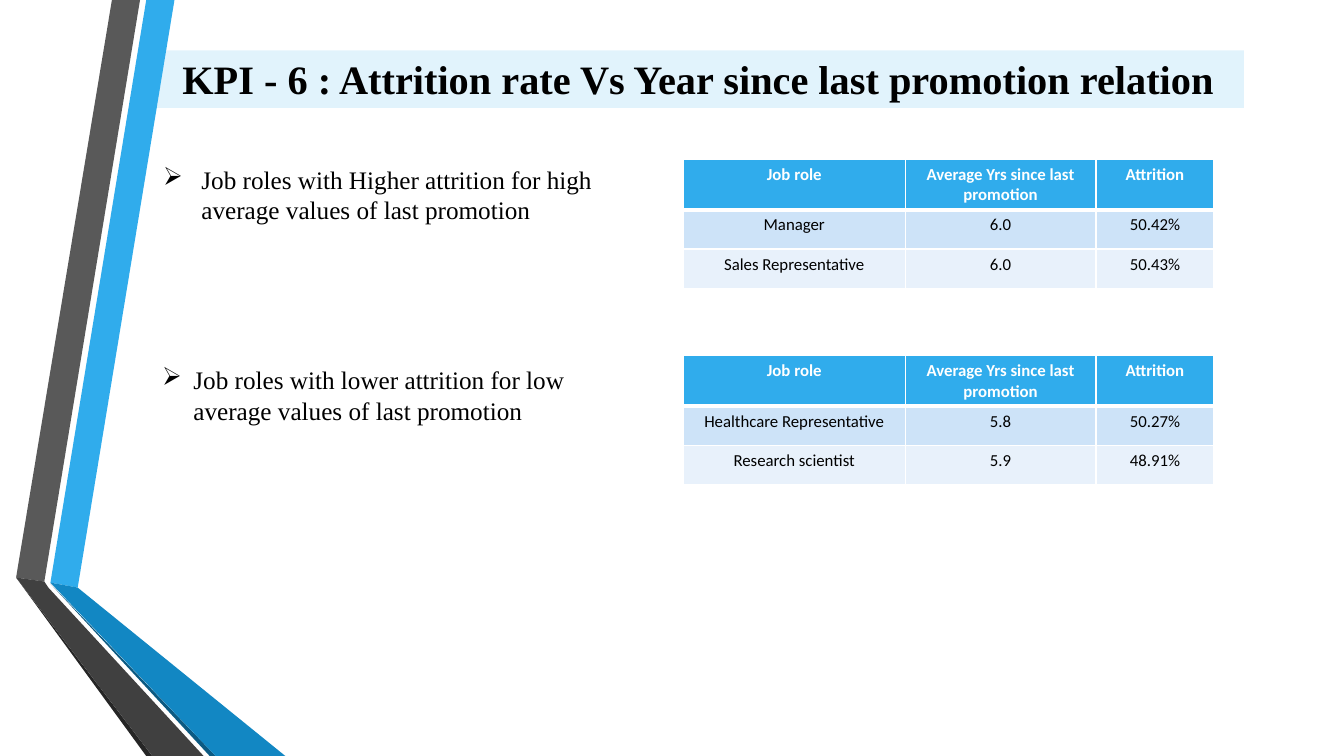
from lxml.etree import SubElement
from pptx import Presentation
from pptx.dml.color import RGBColor as Rgb
from pptx.enum.shapes import MSO_SHAPE as Shape
from pptx.enum.text import MSO_ANCHOR as Anchor, PP_ALIGN as Align
from pptx.oxml import parse_xml
from pptx.oxml.ns import nsdecls, qn
from pptx.util import Inches, Pt

THEME = {
    "accent": "30ACEC", "bands": ("CDE3F8", "E8F1FB"), "border": "FFFFFF",
    "title": {"name": "Times New Roman", "size": Pt(28.8), "bold": True, "color": "000000"},
    "body": {"name": "Times New Roman", "size": Pt(18), "bold": False, "color": "000000"},
    "header": {"name": "Calibri", "size": Pt(12), "bold": True, "color": "FFFFFF"},
    "cell": {"name": "Calibri", "size": Pt(12), "bold": False, "color": "000000"},
}

deck = Presentation()
deck.slide_width, deck.slide_height = Inches(13.33), Inches(7.5)
page = deck.slides.add_slide(deck.slide_layouts[6])
# The grid has 100 columns and 100 rows
column, row = deck.slide_width / 100, deck.slide_height / 100


def place(left, top, width, height):
    """Turn grid columns and rows into slide lengths."""
    return [round(n * unit) for n, unit in
            zip((left, top, width, height), (column, row, column, row))]


def write(frame, text, style, align):
    frame.word_wrap = True
    para = frame.paragraphs[0]
    para.alignment = align
    span = para.add_run()
    span.text = text
    for name, value in style.items():
        if name == "color":
            span.font.color.rgb = Rgb.from_string(value)
        else:
            setattr(span.font, name, value)
    return para


# Folded ribbons on the left, from back to front
RIBBONS = [
    ("30ACEC", [(3.75, 77.07), (5.78, 77.73), (12.98, 0), (10.88, 0)]),
    ("595959", [(10.42, 0), (8.33, 0), (1.2, 76.4), (3.3, 76.93)]),
    ("262626", [(1.2, 76.4), (10.88, 100), (11.33, 100)]),
    ("0C5A82", [(3.75, 77.2), (15.6, 100), (16.05, 100)]),
    ("1287C3", [(3.75, 77.07), (16.05, 100), (21.23, 100), (5.78, 77.73)]),
    ("404040", [(15.15, 100), (3.6, 77.73), (3.3, 76.93), (1.2, 76.4), (11.33, 100)]),
]
FINE = 100  # outline points per grid step
for color, corners in RIBBONS:
    points = [(round(x * FINE), round(y * FINE)) for x, y in corners]
    outline = page.shapes.build_freeform(*points[0], scale=(column / FINE, row / FINE))
    outline.add_line_segments(points[1:], close=True)
    ribbon = outline.convert_to_shape()
    ribbon.shadow.inherit = False
    ribbon.fill.solid()
    ribbon.fill.fore_color.rgb = Rgb.from_string(color)
    ribbon.line.fill.background()

# Title band
title = page.shapes.add_shape(Shape.RECTANGLE, *place(11.33, 6.67, 81.23, 7.6))
title.shadow.inherit = False
title.fill.solid()
title.fill.fore_color.rgb = Rgb.from_string(THEME["accent"])
tint = title.fill._xPr.find(qn("a:solidFill"))[0]
SubElement(tint, qn("a:alpha"), val="14000")
title.line.fill.background()
title.text_frame.vertical_anchor = Anchor.BOTTOM
write(title.text_frame, "KPI - 6 : Attrition rate Vs Year since last promotion relation",
      THEME["title"], Align.CENTER)

# Each finding is a bullet with its table
HEADER = ("Job role", "Average Yrs since last promotion", "Attrition")
COLUMNS, ROWS = (16.5, 14.2, 8.78), (6.6, 5.2, 5.2)
FINDINGS = [
    ("Job roles with Higher attrition for high average values of last promotion",
     (11.4, 21.07), 0.38, 21.07,
     [("Manager", "6.0", "50.42%"), ("Sales Representative", "6.0", "50.43%")]),
    ("Job roles with lower attrition for low average values of last promotion",
     (11.33, 47.6), 0.31, 47.07,
     [("Healthcare Representative", "5.8", "50.27%"), ("Research scientist", "5.9", "48.91%")]),
]
for finding, corner, indent, table_top, records in FINDINGS:
    box = page.shapes.add_textbox(*place(*corner, 35.6, 9.47))
    para = write(box.text_frame, finding, THEME["body"], Align.LEFT)
    props = para._p.get_or_add_pPr()
    props.set("marL", str(Inches(indent)))
    props.set("indent", str(-Inches(indent)))
    SubElement(props, qn("a:buChar"), char="➢")

    table = page.shapes.add_table(
        len(ROWS), len(COLUMNS),
        *place(50.85, table_top, sum(COLUMNS), sum(ROWS))).table
    for index, width in enumerate(COLUMNS):
        table.columns[index].width = round(width * column)
    for r, (height, record) in enumerate(zip(ROWS, [HEADER, *records])):
        table.rows[r].height = round(height * row)
        fill = THEME["bands"][r - 1] if r else THEME["accent"]
        style = THEME["cell" if r else "header"]
        borders = {"L": 1, "R": 1, "T": 3 if r == 1 else 1, "B": 1 if r else 3}
        for c, text in enumerate(record):
            cell = table.cell(r, c)
            write(cell.text_frame, text, style, Align.CENTER)
            cell_props = cell._tc.get_or_add_tcPr()
            for side, points in borders.items():
                cell_props.append(parse_xml(
                    f'<a:ln{side} {nsdecls("a")} w="{Pt(points)}"><a:solidFill>'
                    f'<a:srgbClr val="{THEME["border"]}"/></a:solidFill></a:ln{side}>'))
            cell.fill.solid()
            cell.fill.fore_color.rgb = Rgb.from_string(fill)

deck.save("out.pptx")
